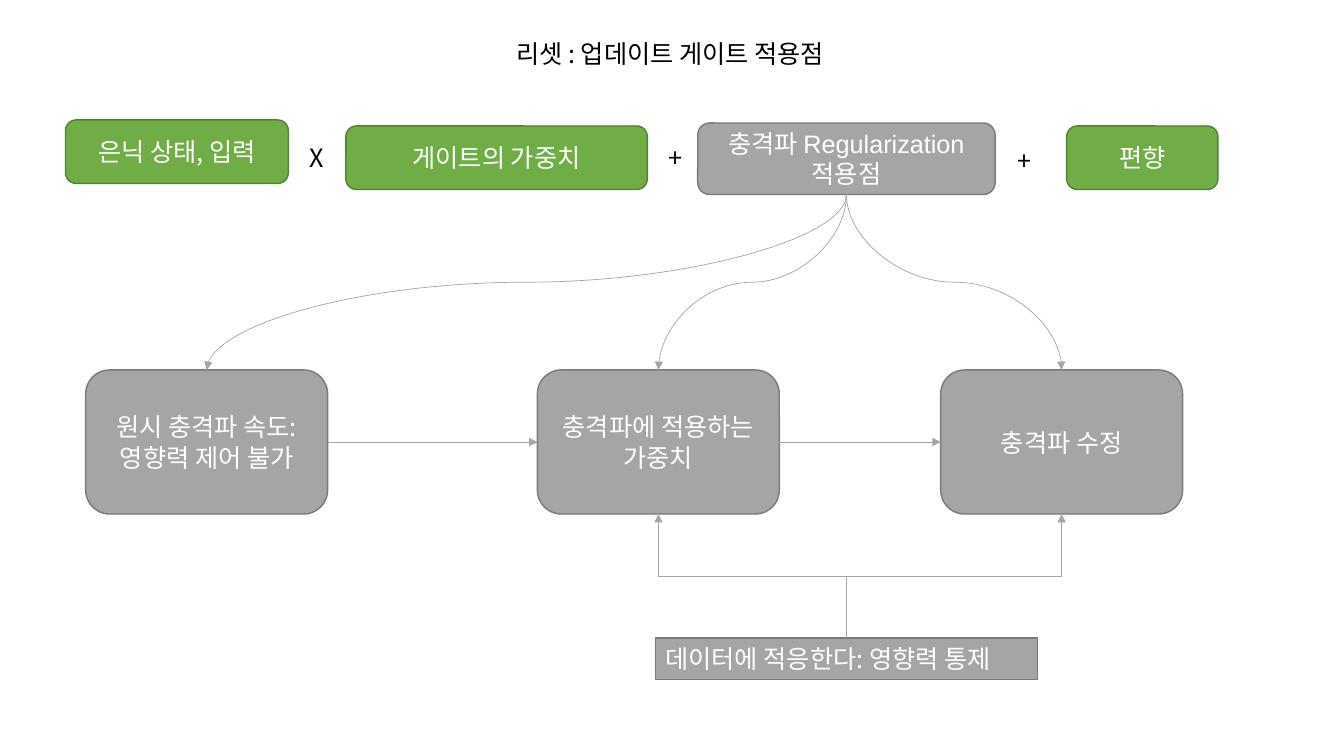
from lxml.etree import SubElement
from pptx import Presentation
from pptx.dml.color import RGBColor
from pptx.enum.shapes import MSO_CONNECTOR as Link, MSO_SHAPE as Preset
from pptx.enum.text import MSO_ANCHOR as Anchor, MSO_AUTO_SIZE as AutoSize, PP_ALIGN as Align
from pptx.oxml.ns import qn
from pptx.util import Inches, Pt

KOREAN, LATIN = "Noto Sans CJK KR", "Arial"
COLORS = {
    "green": "70AD47", "green_edge": "538035",
    "gray": "A5A5A5", "gray_edge": "7A7A7A",
    "white": "FFFFFF", "black": "000000",
}
TITLE = "리셋 : 업데이트 게이트 적용점"
TITLE_AREA = (5.02, 0.33, 3.64, 0.4)

TERM_HEIGHT = 0.63
TERMS = [
    ("은닉 상태, 입력", 0.65, 1.19, 2.21),
    ("게이트의 가중치", 3.43, 1.25, 2.99),
    ("편향", 10.58, 1.25, 1.5),
]
OPERATORS = [("X", 2.97, 1.36, 0.35), ("+", 6.53, 1.36, 0.38), ("+", 9.99, 1.39, 0.38)]
OPERATOR_HEIGHT = 0.4
SHOCKWAVE = [[("충격파 ", KOREAN), ("Regularization 적용점", LATIN)]]
SHOCKWAVE_AREA = (6.92, 1.22, 2.95, 0.71)

STEP_TOP, STEP_WIDTH, STEP_HEIGHT = 3.67, 2.4, 1.43
STEPS = [
    (0.85, ["원시 충격파 속도:", "영향력 제어 불가"]),
    (5.33, ["충격파에 적용하는 가중치"]),
    (9.33, ["충격파 수정"]),
]
CONTROL = "데이터에 적응한다: 영향력 통제"
CONTROL_AREA = (6.5, 6.33, 3.79, 0.41)


def color(name):
    return RGBColor.from_string(COLORS[name])


def plain(*lines):
    return [[(line, KOREAN)] for line in lines]


def write(shape, paragraphs, ink, align):
    frame = shape.text_frame
    for index, runs in enumerate(paragraphs):
        paragraph = frame.paragraphs[0] if index == 0 else frame.add_paragraph()
        paragraph.alignment = align
        for text, font_name in runs:
            run = paragraph.add_run()
            run.text = text
            run.font.size = Pt(18)
            run.font.name = font_name
            run.font.color.rgb = color(ink)
            SubElement(run.font._element, qn("a:ea")).set("typeface", KOREAN)


def add_box(slide, preset, area, paragraphs, tone, align=Align.CENTER, anchor=Anchor.MIDDLE):
    box = slide.shapes.add_shape(preset, *map(Inches, area))
    box.shadow.inherit = False
    box.fill.solid()
    box.fill.fore_color.rgb = color(tone)
    box.line.color.rgb = color(tone + "_edge")
    box.line.width = Pt(1)
    box.text_frame.word_wrap = True
    box.text_frame.vertical_anchor = anchor
    write(box, paragraphs, "white", align)
    return box


def format_label(shape, text):
    shape.text_frame.word_wrap = False
    shape.text_frame.auto_size = AutoSize.SHAPE_TO_FIT_TEXT
    shape.text_frame.vertical_anchor = Anchor.TOP
    write(shape, plain(text), "black", Align.LEFT)


def style_arrow(connector):
    connector.line.color.rgb = color("gray")
    connector.line.width = Pt(0.5)
    tail = SubElement(connector.line._get_or_add_ln(), qn("a:tailEnd"))
    tail.set("type", "triangle")
    SubElement(connector._element.spPr, qn("a:effectLst"))


def add_vertical_arrow(slide, kind, start, end):
    (x1, y1), (x2, y2) = start, end
    run_x, run_y = abs(x2 - x1), abs(y2 - y1)
    left = (x1 + x2 - run_y) // 2
    top = (y1 + y2 - run_x) // 2
    arrow = slide.shapes.add_connector(kind, left, top, left + run_y, top + run_x)
    to_right, upward = x2 > x1, y2 < y1
    frame = arrow._element.spPr.find(qn("a:xfrm"))
    frame.set("rot", str((90 if to_right == upward else 270) * 60000))
    frame.set("flipH", str(int(to_right)))
    frame.set("flipV", str(int(upward)))
    style_arrow(arrow)


def top_middle(shape):
    return shape.left + shape.width // 2, shape.top


def bottom_middle(shape):
    return shape.left + shape.width // 2, shape.top + shape.height


def main():
    presentation = Presentation()
    presentation.slide_width, presentation.slide_height = Inches(13.33), Inches(7.5)
    slide = presentation.slides.add_slide(presentation.slide_layouts[5])

    title = slide.shapes.title
    title.left, title.top, title.width, title.height = map(Inches, TITLE_AREA)
    format_label(title, TITLE)

    for text, left, top, width in TERMS:
        add_box(slide, Preset.ROUNDED_RECTANGLE, (left, top, width, TERM_HEIGHT),
                plain(text), "green")
    for text, left, top, width in OPERATORS:
        area = (left, top, width, OPERATOR_HEIGHT)
        format_label(slide.shapes.add_textbox(*map(Inches, area)), text)

    shockwave = add_box(slide, Preset.ROUNDED_RECTANGLE, SHOCKWAVE_AREA, SHOCKWAVE, "gray")
    steps = [
        add_box(slide, Preset.ROUNDED_RECTANGLE, (left, STEP_TOP, STEP_WIDTH, STEP_HEIGHT),
                plain(*lines), "gray")
        for left, lines in STEPS
    ]
    control = add_box(slide, Preset.RECTANGLE, CONTROL_AREA, plain(CONTROL), "gray",
                      Align.LEFT, Anchor.TOP)

    for before, after in zip(steps, steps[1:]):
        arrow = slide.shapes.add_connector(Link.STRAIGHT, 0, 0, 0, 0)
        arrow.begin_connect(before, 3)
        arrow.end_connect(after, 1)
        style_arrow(arrow)
    for step in steps[1:]:
        add_vertical_arrow(slide, Link.ELBOW, top_middle(control), bottom_middle(step))
    for step in steps:
        add_vertical_arrow(slide, Link.CURVE, bottom_middle(shockwave), top_middle(step))

    presentation.save("out.pptx")


if __name__ == "__main__":
    main()
